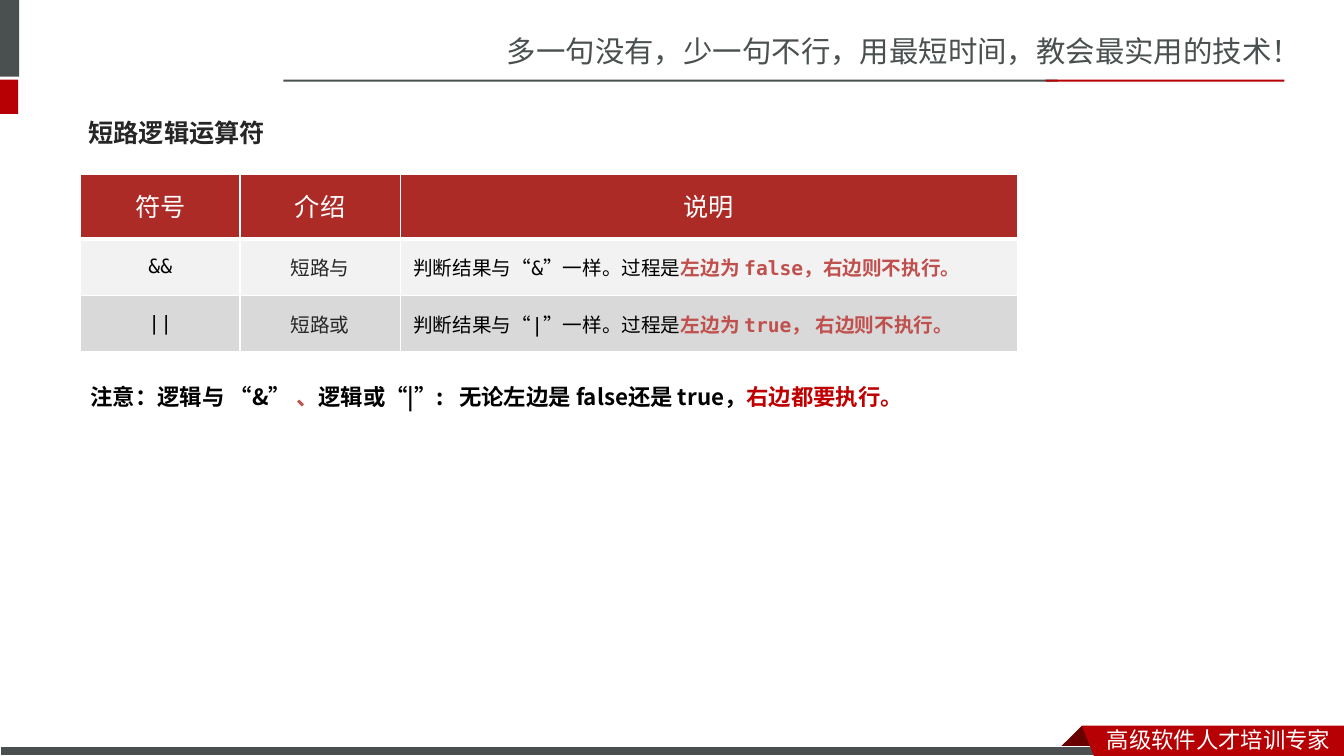
from dataclasses import dataclass

from lxml import etree
from pptx import Presentation
from pptx.dml.color import RGBColor
from pptx.enum.shapes import MSO_SHAPE
from pptx.enum.text import MSO_ANCHOR, PP_ALIGN
from pptx.oxml.ns import qn
from pptx.util import Inches, Pt

RECT = MSO_SHAPE.RECTANGLE
MIDDLE, TOP = MSO_ANCHOR.MIDDLE, MSO_ANCHOR.TOP
LEFT, CENTER = PP_ALIGN.LEFT, PP_ALIGN.CENTER


@dataclass(frozen=True)
class Theme:
    """Colours, fonts and type sizes of the slide."""
    gray: str = "49504F"
    red: str = "B60004"
    fold: str = "680000"
    head: str = "AD2B26"
    bands: tuple = ("F2F2F2", "D9D9D9")
    white: str = "FFFFFF"
    black: str = "000000"
    ink: str = "262626"
    coral: str = "C0504D"
    alert: str = "C00000"
    sans: str = "Noto Sans CJK SC"
    bold: str = "Noto Sans CJK JP"
    latin: str = "Arial"
    mono: str = "DejaVu Sans Mono"
    slogan: int = 21
    title: int = 18
    note: int = 16
    cell: int = 14


T = Theme()


def write(frame, runs, size, font, east=T.sans, bold=False, align=LEFT,
          anchor=TOP, spacing=None):
    """Fill a text frame with one paragraph of (text, colour[, bold]) runs."""
    frame.word_wrap = True
    frame.vertical_anchor = anchor
    para = frame.paragraphs[0]
    para.alignment = align
    if spacing:
        para.line_spacing = spacing
    for text, color, *heavy in runs:
        run = para.add_run()
        run.text = text
        run.font.size = Pt(size)
        run.font.name = font
        run.font.bold = heavy[0] if heavy else bold
        run.font.color.rgb = RGBColor.from_string(color)
        face = etree.Element(qn("a:ea"), typeface=east)
        run.font._element.find(qn("a:latin")).addnext(face)


def label(slide, box, runs, size, font, **style):
    """Add a text box."""
    frame = slide.shapes.add_textbox(*map(Inches, box)).text_frame
    write(frame, runs, size, font, **style)


def paint(shape, color, line=None):
    """Give a shape a flat fill and an optional thin line."""
    shape.shadow.inherit = False
    shape.fill.solid()
    shape.fill.fore_color.rgb = RGBColor.from_string(color)
    if line:
        shape.line.color.rgb = RGBColor.from_string(line)
        shape.line.width = Pt(0.75)
    else:
        shape.line.fill.background()


def block(slide, box, color, line=None):
    """Add a flat rectangle."""
    paint(slide.shapes.add_shape(RECT, *map(Inches, box)), color, line)


def outline(slide, points, color):
    """Add a flat closed polygon."""
    start, *rest = [(Inches(x), Inches(y)) for x, y in points]
    path = slide.shapes.build_freeform(*start)
    path.add_line_segments(rest, close=True)
    paint(path.convert_to_shape(), color)


def header(slide, x, y, w, h):
    """Draw the corner tabs, the slogan and its two-colour rule."""
    label(slide, (x + 4.93, y + 0.28, w - 4.93, 0.47),
          [("多一句没有，少一句不行，用最短时间，教会最实用的技术！", T.gray)],
          T.slogan, T.sans)
    block(slide, (x, y, 0.19, 0.76), T.gray)
    block(slide, (x, y + 0.79, 0.18, h - 0.79), T.red)
    block(slide, (x + 2.81, y + 0.79, 7.68, 0.02), T.gray)
    block(slide, (x + 10.37, y + 0.79, 2.37, 0.02), T.red)


def footer(slide, x, y, w, h):
    """Draw the bottom bar and the folded ribbon with its motto."""
    left, right, base = x + w - 2.6, x + w, y + h
    outline(slide, [(left, y), (left + 0.22, y + 0.22), (left + 0.21, y + 0.23),
                    (left - 0.21, y + 0.23), (left - 0.22, y + 0.22)], T.fold)
    block(slide, (x, y + 0.21, w - 2.34, h - 0.21), T.gray, T.white)
    outline(slide, [(left, y), (right, y), (right, base),
                    (left + 0.12, base)], T.red)
    label(slide, (left + 0.15, y - 0.05, 2.45, 0.37),
          [("高级软件人才培训专家", T.white)], T.note, T.sans)


def edge(cell, **widths):
    """Draw white cell borders, widths in points keyed by L, R, T, B."""
    props = cell._tc.get_or_add_tcPr()
    for spot, side in enumerate("LRTB"):
        line = etree.Element(qn(f"a:ln{side}"), w=str(Pt(widths.get(side, 1))))
        fill = etree.SubElement(line, qn("a:solidFill"))
        etree.SubElement(fill, qn("a:srgbClr"), val=T.white)
        props.insert(spot, line)


def grid(slide, x, y, w, h):
    """Draw the operator table."""
    rows = [
        [[("符号", T.white)], [("介绍", T.white)], [("说明", T.white)]],
        [[("&&", T.black)], [("短路与", T.ink)],
         [("判断结果与“&”一样。过程是", T.black),
          ("左边为 false，右边则不执行。", T.coral, True)]],
        [[("||", T.black)], [("短路或", T.ink)],
         [("判断结果与“|”一样。过程是", T.black),
          ("左边为 true， 右边则不执行。", T.coral, True)]],
    ]
    table = slide.shapes.add_table(3, 3, *map(Inches, (x, y, w, h))).table
    table.horz_banding = False
    for col, wide in zip(table.columns, (1.58, 1.59, w - 3.17)):
        col.width = Inches(wide)
    for row, tall in zip(table.rows, (0.64, 0.56, 0.56)):
        row.height = Inches(tall)
    for r, row in enumerate(rows):
        for c, runs in enumerate(row):
            cell = table.cell(r, c)
            cell.fill.solid()
            shade = T.bands[r - 1] if r else T.head
            cell.fill.fore_color.rgb = RGBColor.from_string(shade)
            cell.margin_left = cell.margin_right = Inches(0.13 if r else 0.1)
            cell.margin_top = cell.margin_bottom = Inches(0.07 if r else 0.05)
            cell.vertical_anchor = MIDDLE
            if r:
                write(cell.text_frame, runs, T.cell, T.mono, anchor=MIDDLE,
                      align=LEFT if c == 2 else CENTER)
            else:
                write(cell.text_frame, runs, T.title, T.latin, anchor=MIDDLE,
                      align=CENTER, spacing=Pt(24))
            edge(cell, T=3 if r == 1 else 1, B=1 if r else 3)


def body(slide, x, y, w, h):
    """Place the heading, the table and the note below it."""
    label(slide, (x, y, w, 0.57), [("短路逻辑运算符", T.ink)], T.title, T.bold,
          east=T.bold, bold=True, anchor=MIDDLE)
    grid(slide, x + 0.02, y + 0.7, 9.29, 1.76)
    label(slide, (x + 0.02, y + h - 0.47, w - 0.29, 0.47),
          [("注意：逻辑与 “&” ", T.black), ("、", T.coral),
           ("逻辑或“|”:   无论左边是 false还是 true，", T.black),
           ("右边都要执行。", T.alert)],
          T.note, T.bold, east=T.bold, bold=True, spacing=1.5)


def main():
    """Build and save the slide."""
    deck = Presentation()
    deck.slide_width, deck.slide_height = Inches(13.33), Inches(7.5)
    slide = deck.slides.add_slide(deck.slide_layouts[6])
    header(slide, 0, 0, 13.33, 1.13)
    footer(slide, 0, 7.2, 13.33, 0.3)
    body(slide, 0.78, 1.03, 11.76, 3.06)
    deck.save("out.pptx")


if __name__ == "__main__":
    main()
